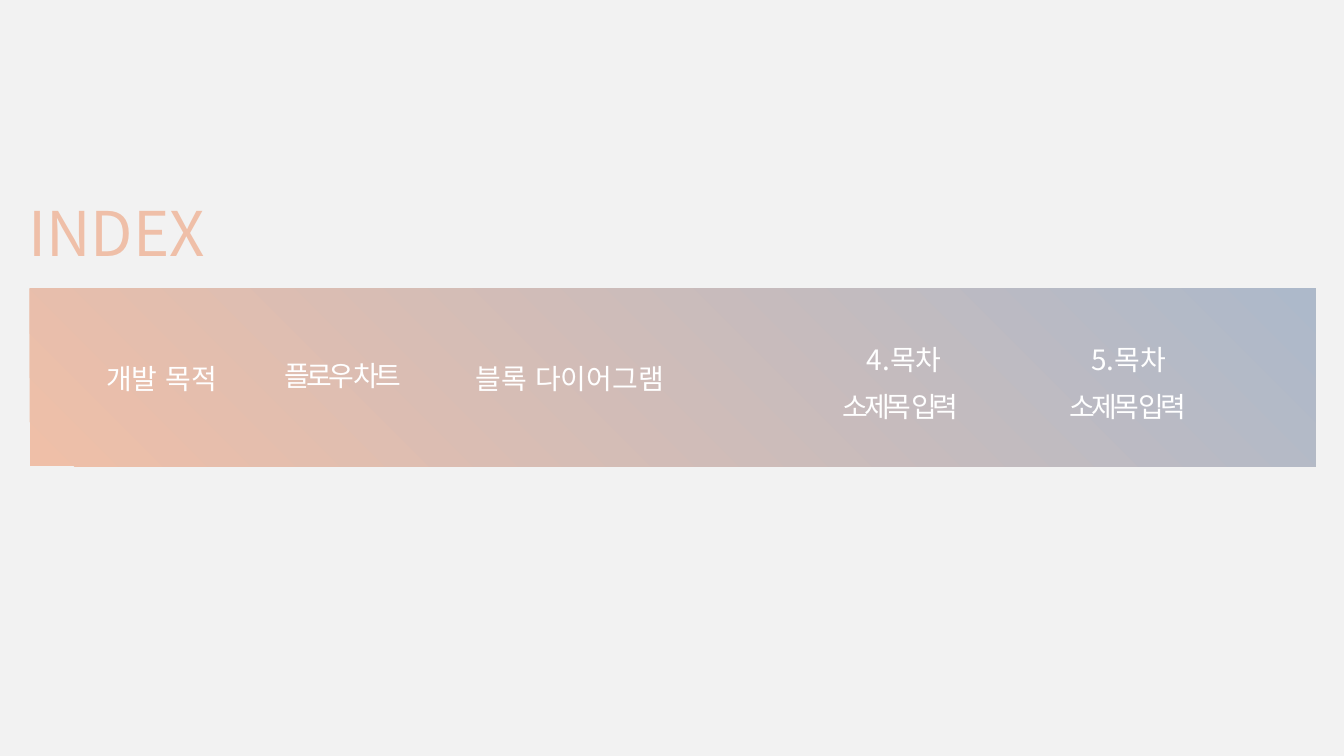
"""Build the INDEX slide: a title above a gradient bar of section labels."""
from dataclasses import dataclass

from lxml.etree import SubElement
from pptx import Presentation
from pptx.dml.color import RGBColor
from pptx.enum.lang import MSO_LANGUAGE_ID
from pptx.enum.shapes import MSO_SHAPE
from pptx.enum.text import MSO_ANCHOR, MSO_AUTO_SIZE, PP_ALIGN
from pptx.oxml.ns import qn
from pptx.util import Inches, Pt

SLIDE_WIDTH = 10
SLIDE_HEIGHT = SLIDE_WIDTH * 9 / 16
TITLE = ("INDEX", (0.14, 1.41, 1.66, 0.63))
BACKDROP = (0, 0, SLIDE_WIDTH, SLIDE_HEIGHT)
BAR = (0.22, 2.15, 9.57, 1.32)
LABEL_HEIGHT = 0.33
HEADINGS = [
    ("개발 목적", 0.72, 2.65, 1.07),
    ("블록 다이어그램", 3.47, 2.65, 1.7),
    ("4.목차", 6.38, 2.51, 0.78),
    ("5.목차", 8.05, 2.51, 0.78),
]
SUBHEADINGS = [
    ("플로우 차트", 2.05, 2.63, 1.09),
    ("소제목 입력", 6.2, 2.86, 1.09),
    ("소제목 입력", 7.89, 2.86, 1.09),
]


@dataclass(frozen=True)
class Theme:
    font: str = "Noto Sans CJK KR"
    backdrop: str = "F2F2F2"
    label: str = "FFFFFF"
    gradient: tuple = ("EFBFA8", "ADB9CA")
    angle: int = 45
    title_size: int = 33
    label_size: int = 15
    tight: float = -2.2


THEME = Theme()
FRAME = {
    "margin_left": Inches(0.07), "margin_right": Inches(0.07),
    "margin_top": Inches(0.04), "margin_bottom": Inches(0.04),
    "word_wrap": False, "auto_size": MSO_AUTO_SIZE.SHAPE_TO_FIT_TEXT,
    "vertical_anchor": MSO_ANCHOR.TOP,
}


def apply(obj, values):
    for name, value in values.items():
        setattr(obj, name, value)


def inches(box):
    return [Inches(v) for v in box]


def paint(fill, colors):
    if len(colors) == 1:
        fill.solid()
        fill.fore_color.rgb = RGBColor.from_string(colors[0])
        return
    fill.gradient()
    fill.gradient_angle = THEME.angle
    for stop, color in zip(fill.gradient_stops, colors):
        stop.color.rgb = RGBColor.from_string(color)


def add_rect(shapes, box, colors):
    sp = shapes.add_shape(MSO_SHAPE.RECTANGLE, *inches(box))
    sp.shadow.inherit = False
    sp.line.fill.background()
    paint(sp.fill, colors)


def write(sp, text, size, colors, spacing=0):
    tf = sp.text_frame
    apply(tf, FRAME)
    p = tf.paragraphs[0]
    apply(p, {"alignment": PP_ALIGN.LEFT, "line_spacing": 1.0})
    r = p.add_run()
    r.text = text
    apply(r.font, {"size": Pt(size), "name": THEME.font,
                   "language_id": MSO_LANGUAGE_ID.KOREAN})
    paint(r.font.fill, colors)
    rpr = r._r.get_or_add_rPr()
    SubElement(rpr, qn("a:ea"), typeface=THEME.font)
    if spacing:
        rpr.set("spc", str(round(spacing * 100)))


prs = Presentation()
apply(prs, {"slide_width": Inches(SLIDE_WIDTH), "slide_height": Inches(SLIDE_HEIGHT)})
s = prs.slides.add_slide(prs.slide_layouts[5])
shapes = s.shapes
title = shapes.title

add_rect(shapes, BACKDROP, [THEME.backdrop])
shapes._spTree.append(title._element)
apply(title, dict(zip(("left", "top", "width", "height"), inches(TITLE[1]))))
write(title, TITLE[0], THEME.title_size, THEME.gradient)
add_rect(shapes, BAR, THEME.gradient)

for labels, spacing in ((HEADINGS, 0), (SUBHEADINGS, THEME.tight)):
    for text, left, top, width in labels:
        sp = shapes.add_textbox(*inches((left, top, width, LABEL_HEIGHT)))
        write(sp, text, THEME.label_size, [THEME.label], spacing)

prs.save("out.pptx")
